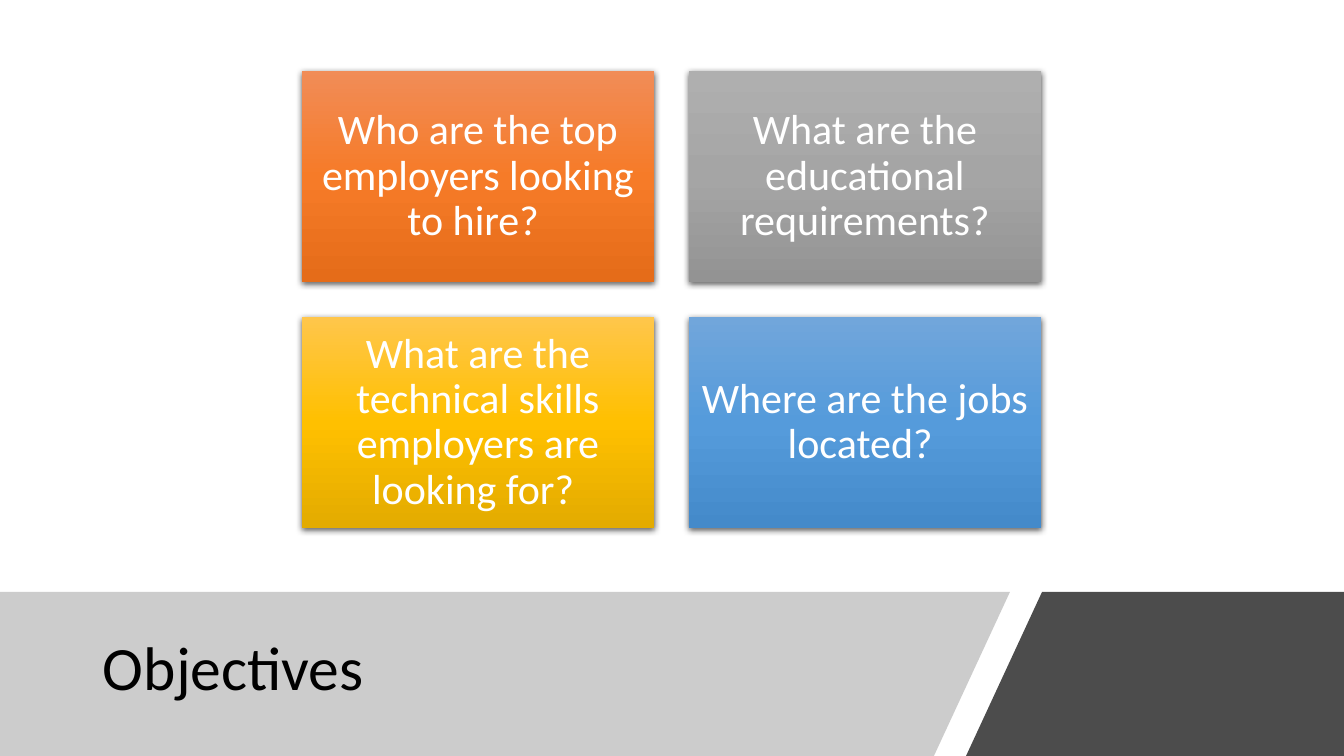
from copy import deepcopy
from dataclasses import dataclass

from lxml import etree
from pptx import Presentation
from pptx import util as u
from pptx.dml.color import RGBColor
from pptx.enum import shapes, text
from pptx.oxml import ns

WIDE, HIGH = 1344, 756
SCALE = 12192000 / WIDE


@dataclass(frozen=True)
class Theme:
    font: str = "Calibri"
    head: int = 44
    body: int = 30
    ink: str = "000000"
    light: str = "FFFFFF"
    band: str = "808080"
    orange: tuple = ("F18C57", "F67B28", "E56C19")
    gray: tuple = ("AFAFAF", "A5A5A5", "939393")
    gold: tuple = ("FFC64B", "FFC000", "E3AB00")
    blue: tuple = ("71A6DB", "559BDB", "448ACA")


THEME = Theme()


def px(num):
    return u.Emu(round(num * SCALE))


def rgb(code):
    return RGBColor.from_string(code)


def node(top, tag, **attrs):
    return etree.SubElement(top, ns.qn(tag), attrs)


def fade(color, part):
    node(color, "a:alpha", val=str(part * 1000))


def write(shape, words, size, color, align=text.PP_ALIGN.LEFT, sides=10, ends=5):
    frame = shape.text_frame
    frame.word_wrap = True
    frame.vertical_anchor = text.MSO_ANCHOR.MIDDLE
    frame.margin_left = frame.margin_right = px(sides)
    frame.margin_top = frame.margin_bottom = px(ends)
    para = frame.paragraphs[0]
    para.alignment = align
    para.line_spacing = 0.9
    run = para.add_run()
    run.text = words
    run.font.name = THEME.font
    run.font.size = u.Pt(size)
    run.font.color.rgb = rgb(color)


def band(slide, points, color, part):
    first, *rest = [(px(x), px(y)) for x, y in points]
    build = slide.shapes.build_freeform(*first)
    build.add_line_segments(rest, close=True)
    shape = build.convert_to_shape()
    shape.shadow.inherit = False
    shape.line.fill.background()
    shape.fill.solid()
    shape.fill.fore_color.rgb = rgb(color)
    fade(shape.element.spPr.find(".//" + ns.qn("a:srgbClr")), part)


def blend(shape, colors):
    shape.fill.gradient()
    shape.fill.gradient_angle = 270
    stops = shape.element.spPr.find(".//" + ns.qn("a:gsLst"))
    stops.append(deepcopy(stops[-1]))
    for stop, spot, color in zip(shape.fill.gradient_stops, (0, 0.5, 1), colors):
        stop.position = spot
        stop.color.rgb = rgb(color)


def shade(shape):
    shape.shadow.inherit = False
    glow = node(
        shape.element.spPr.find(ns.qn("a:effectLst")),
        "a:outerShdw",
        blurRad=str(u.Pt(4.5)),
        dist=str(u.Pt(1.5)),
        dir="5400000",
        algn="ctr",
        rotWithShape="0",
    )
    fade(node(glow, "a:srgbClr", val=THEME.ink), 63)


def card(slide, x, y, wide, high, words, colors):
    box = slide.shapes.add_shape(
        shapes.MSO_SHAPE.RECTANGLE, px(x), px(y), px(wide), px(high)
    )
    box.line.fill.background()
    blend(box, colors)
    shade(box)
    write(box, words, THEME.body, THEME.light,
          align=text.PP_ALIGN.CENTER, sides=12, ends=12)


def title(slide, words):
    box = slide.shapes.add_textbox(px(93), px(610), px(851), px(121))
    write(box, words, THEME.head, THEME.ink)


def main():
    deck = Presentation()
    deck.slide_width, deck.slide_height = px(WIDE), px(HIGH)
    slide = deck.slides.add_slide(deck.slide_layouts[6])

    top = 592
    band(slide, [(0, top), (1010, top), (934, HIGH), (0, HIGH)], THEME.band, 40)
    title(slide, "Objectives")
    band(slide, [(1042, top), (WIDE, top), (WIDE, HIGH), (966, HIGH)], THEME.ink, 70)

    cards = [
        ("Who are the top employers looking to hire? ", THEME.orange),
        ("What are the educational requirements?", THEME.gray),
        ("What are the technical skills employers are looking for? ", THEME.gold),
        ("Where are the jobs located? ", THEME.blue),
    ]
    wide, high, gap = 352, 211, 35
    for spot, (words, colors) in enumerate(cards):
        row, col = divmod(spot, 2)
        card(slide, 302 + col * (wide + gap), 71 + row * (high + gap),
             wide, high, words, colors)

    deck.save("out.pptx")


if __name__ == "__main__":
    main()
